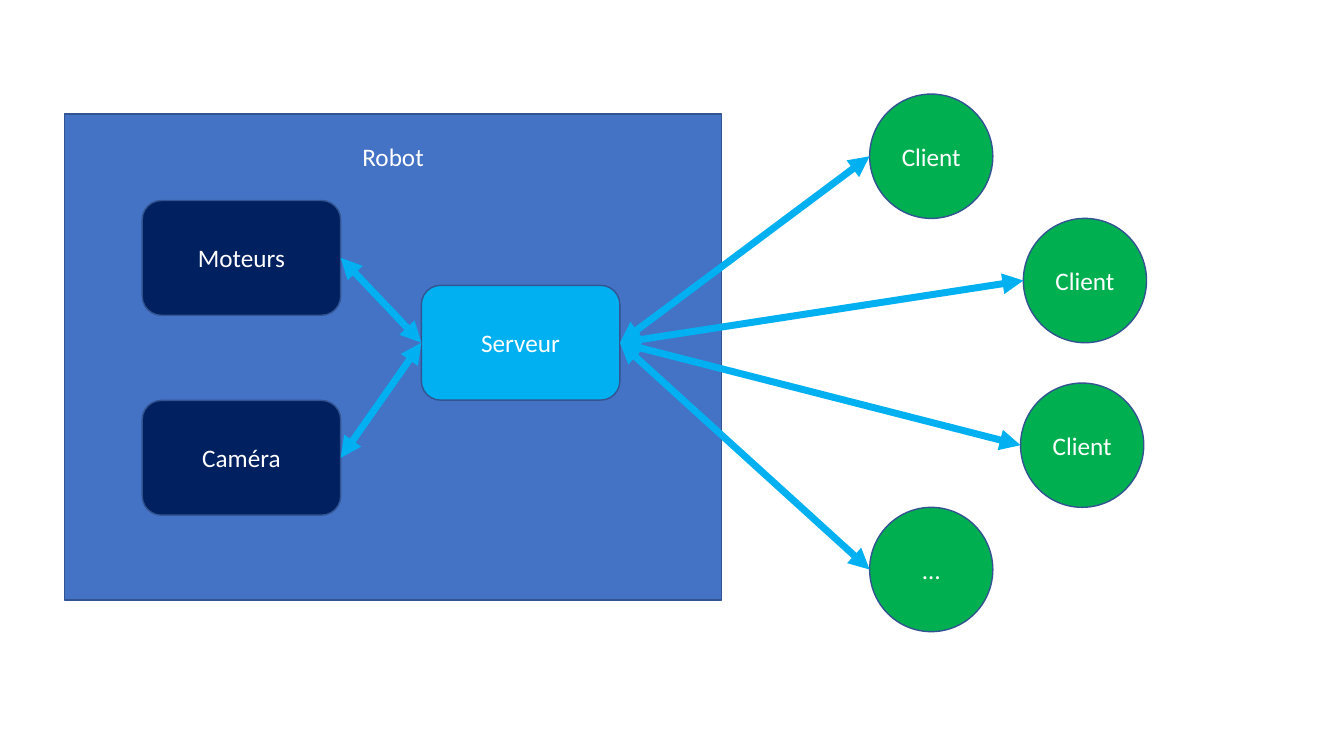
from dataclasses import dataclass

from lxml.etree import SubElement
from pptx import Presentation
from pptx.dml.color import RGBColor
from pptx.enum.shapes import MSO_CONNECTOR, MSO_SHAPE
from pptx.enum.text import MSO_ANCHOR, PP_ALIGN
from pptx.oxml.ns import qn
from pptx.shapes.autoshape import Shape
from pptx.slide import Slide
from pptx.text.text import TextFrame
from pptx.util import Pt

WHITE = RGBColor(0xFF, 0xFF, 0xFF)
PANEL_BLUE = RGBColor(0x44, 0x72, 0xC4)
OUTLINE_BLUE = RGBColor(0x32, 0x54, 0x91)
NAVY = RGBColor(0x00, 0x20, 0x60)
SKY_BLUE = RGBColor(0x00, 0xB0, 0xF0)
GREEN = RGBColor(0x00, 0xB0, 0x50)

# Connection sites on the left and right of each preset
BOX_LEFT, BOX_RIGHT, CIRCLE_LEFT = 1, 3, 2


@dataclass(frozen=True)
class Node:
    """A labelled shape of the diagram, in points."""
    label: str
    left: float
    top: float


@dataclass(frozen=True)
class NodeStyle:
    """The look shared by nodes of one kind, sizes in points."""
    preset: MSO_SHAPE
    fill: RGBColor
    width: float
    height: float


ROBOT = NodeStyle(MSO_SHAPE.RECTANGLE, PANEL_BLUE, 469.6, 347.2)
PART = NodeStyle(MSO_SHAPE.ROUNDED_RECTANGLE, NAVY, 141.8, 82)
SERVER = NodeStyle(MSO_SHAPE.ROUNDED_RECTANGLE, SKY_BLUE, 141.8, 82)
CLIENT = NodeStyle(MSO_SHAPE.OVAL, GREEN, 88, 88.8)

PARTS = [Node("Moteurs", 101.6, 143.2), Node("Caméra", 101.6, 286)]
CLIENTS = [
    Node("Client", 621.2, 67.2),
    Node("Client", 731, 156),
    Node("Client", 729, 273.6),
    Node("…", 621.2, 362.4),
]


def write_text(frame: TextFrame, text: str, *, size: float = 18,
               color: RGBColor = WHITE, font: str = "Calibri",
               anchor: MSO_ANCHOR = MSO_ANCHOR.MIDDLE) -> None:
    """Write one centred line of formatted text."""
    frame.word_wrap = True
    frame.vertical_anchor = anchor
    paragraph = frame.paragraphs[0]
    paragraph.alignment = PP_ALIGN.CENTER
    span = paragraph.add_run()
    span.text = text
    span.font.name = font
    span.font.size = Pt(size)
    span.font.color.rgb = color


def add_node(page: Slide, node: Node, style: NodeStyle) -> Shape:
    """Draw a node, with its label if it has one."""
    shape = page.shapes.add_shape(
        style.preset, Pt(node.left), Pt(node.top), Pt(style.width), Pt(style.height))
    shape.shadow.inherit = False
    shape.fill.solid()
    shape.fill.fore_color.rgb = style.fill
    shape.line.color.rgb = OUTLINE_BLUE
    shape.line.width = Pt(1)
    if node.label:
        write_text(shape.text_frame, node.label)
    return shape


def link(page: Slide, left_shape: Shape, right_shape: Shape, right_site: int) -> None:
    """Join the facing sides of two shapes with a double-headed arrow."""
    arrow = page.shapes.add_connector(MSO_CONNECTOR.STRAIGHT, 0, 0, 0, 0)
    arrow.begin_connect(right_shape, right_site)
    arrow.end_connect(left_shape, BOX_RIGHT)
    # An oval numbers its sites differently, so both ends are placed explicitly
    arrow.begin_x = right_shape.left
    arrow.begin_y = right_shape.top + right_shape.height // 2
    arrow.end_x = left_shape.left + left_shape.width
    arrow.end_y = left_shape.top + left_shape.height // 2
    arrow.line.color.rgb = SKY_BLUE
    arrow.line.width = Pt(5)
    line = arrow.line._get_or_add_ln()
    for end in ("a:headEnd", "a:tailEnd"):
        SubElement(line, qn(end), type="triangle")
    SubElement(arrow._element.spPr, qn("a:effectLst"))


def build_page(page: Slide) -> None:
    """Draw the robot, its parts, the server and the clients."""
    robot = add_node(page, Node("", 46, 81.4), ROBOT)
    clients = [add_node(page, node, CLIENT) for node in CLIENTS]
    server = add_node(page, Node("Serveur", 301, 203.8), SERVER)
    parts = [add_node(page, node, PART) for node in PARTS]

    title = page.shapes.add_textbox(robot.left, Pt(97.2), robot.width, Pt(29))
    write_text(title.text_frame, "Robot", anchor=MSO_ANCHOR.TOP)

    for part in parts:
        link(page, part, server, BOX_LEFT)
    for client in clients:
        link(page, server, client, CIRCLE_LEFT)


deck = Presentation()
deck.slide_width, deck.slide_height = Pt(960), Pt(540)
BLANK_LAYOUT = deck.slide_layouts[6]
build_page(deck.slides.add_slide(BLANK_LAYOUT))
deck.save("out.pptx")
